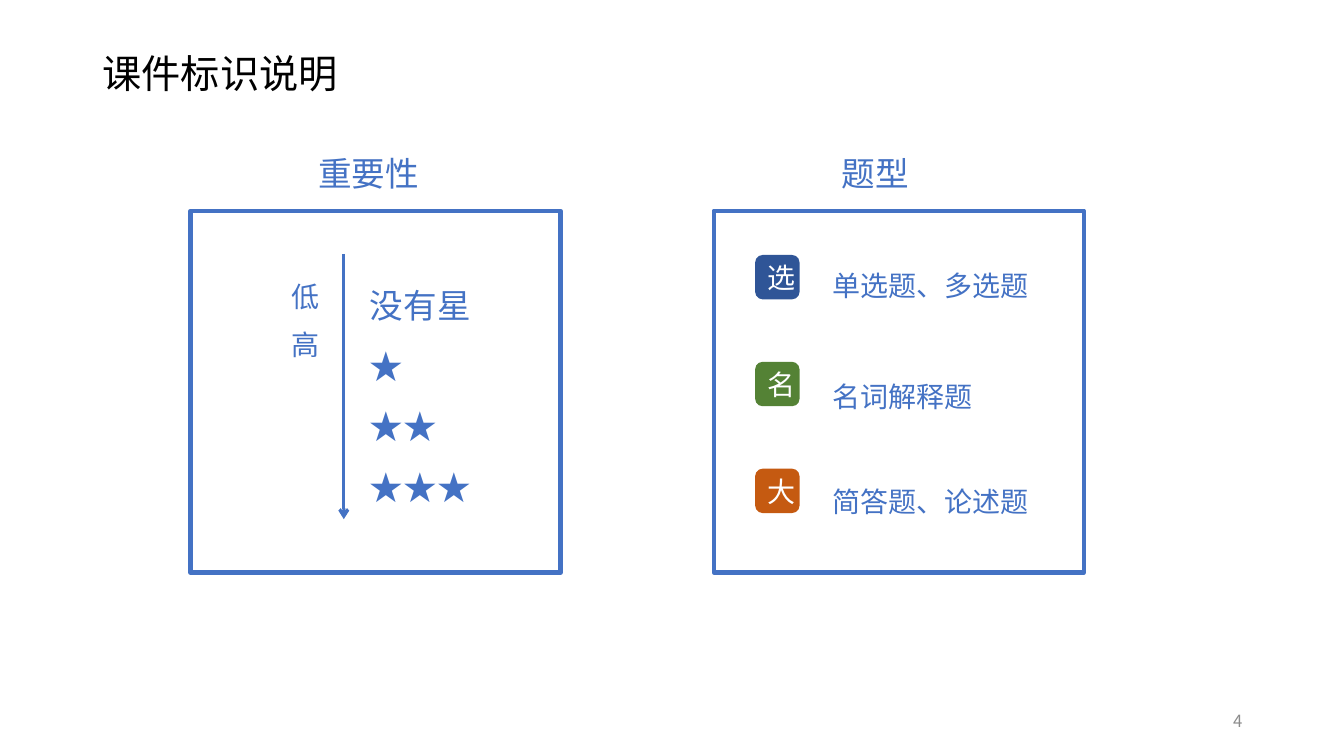
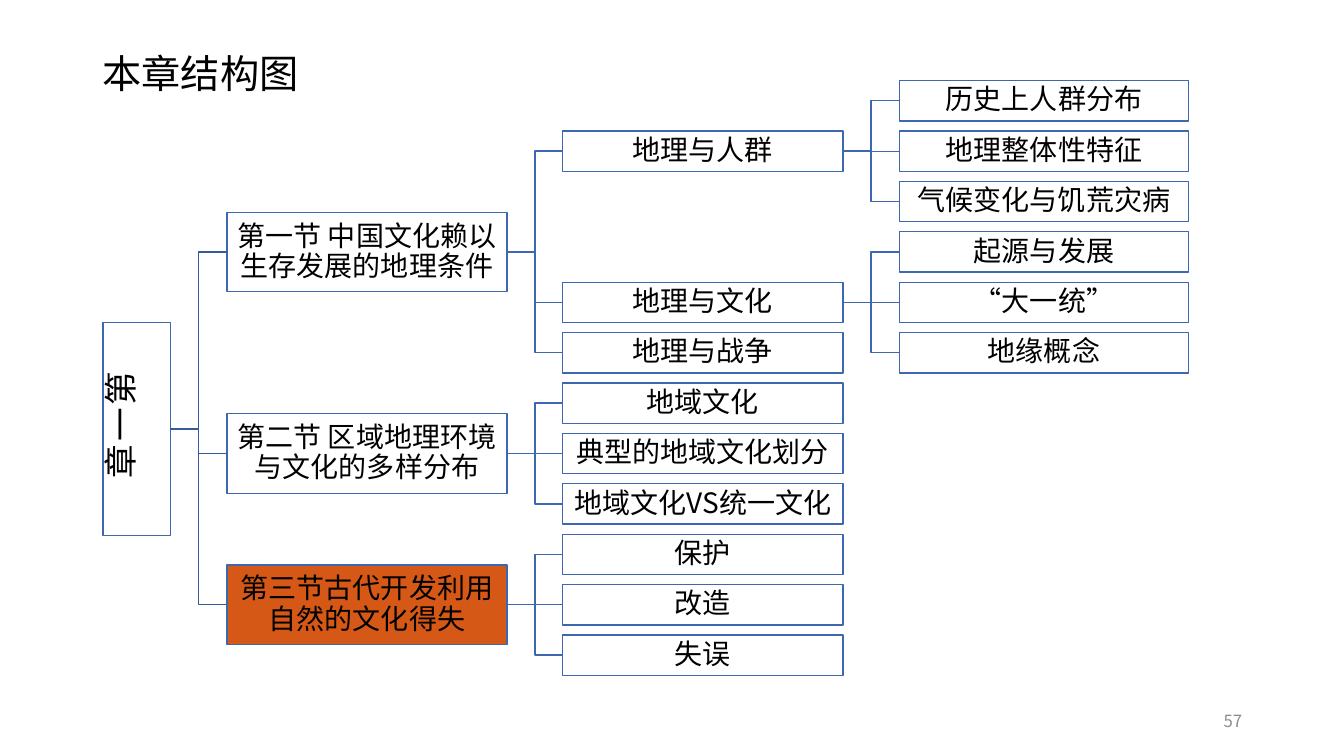
from pptx import Presentation
from pptx.dml.color import RGBColor
from pptx.enum.shapes import MSO_CONNECTOR as Connector, MSO_SHAPE as Shape
from pptx.enum.text import MSO_ANCHOR as Anchor, PP_ALIGN as Align
from pptx.oxml.ns import qn
from pptx.oxml.xmlchemy import OxmlElement
from pptx.util import Inches, Pt

FONT = "Noto Sans CJK SC"
BLACK = RGBColor(0x00, 0x00, 0x00)
WHITE = RGBColor(0xFF, 0xFF, 0xFF)
GRAY = RGBColor(0x8C, 0x8C, 0x8C)
BLUE = RGBColor(0x44, 0x72, 0xC4)
NAVY = RGBColor(0x2F, 0x55, 0x97)
GREEN = RGBColor(0x54, 0x82, 0x35)
RUST = RGBColor(0xC5, 0x5A, 0x11)
ORANGE = RGBColor(0xD5, 0x58, 0x16)
TREE_BLUE = RGBColor(0x3E, 0x67, 0xB2)
TRUNK_BLUE = RGBColor(0x36, 0x5B, 0x9D)

PANEL_LEFTS = (1.89, 7.08)
QUESTION_TYPES = (
    ("选", NAVY, "单选题、多选题", 2.45),
    ("名", GREEN, "名词解释题", 3.55),
    ("大", RUST, "简答题、论述题", 4.59),
)

FIRST_ROW, ROW_PITCH = 1.0, 0.5
CHAPTER_BOX = (0.3, 3.92, 2.11, 0.67)
TREE_COLUMNS = ((2.25, 2.78, 0.79), (5.58, 2.78, 0.4), (8.92, 2.87, 0.4))
HIGHLIGHTED = "第三节古代开发利用自然的文化得失"
CHAPTER_TREE = {
    "第一节 中国文化赖以生存发展的地理条件": {
        "地理与人群": {"历史上人群分布": {}, "地理整体性特征": {}, "气候变化与饥荒灾病": {}},
        "地理与文化": {"起源与发展": {}, "“大一统”": {}, "地缘概念": {}},
        "地理与战争": {},
    },
    "第二节 区域地理环境与文化的多样分布": {
        "地域文化": {}, "典型的地域文化划分": {}, "地域文化VS统一文化": {},
    },
    HIGHLIGHTED: {"保护": {}, "改造": {}, "失误": {}},
}


def write(shape, lines, size, color, align=Align.LEFT, anchor=Anchor.TOP,
          spacing=1.0, vertical=False, tracking=0):
    frame = shape.text_frame
    frame.word_wrap = True
    frame.vertical_anchor = anchor
    frame.text = "\n".join(lines)
    if vertical:
        frame._txBody.bodyPr.set("vert", "eaVert")
    for paragraph in frame.paragraphs:
        paragraph.alignment = align
        paragraph.line_spacing = spacing
        font = paragraph.font
        font.name, font.size, font.color.rgb = FONT, Pt(size), color
        properties = paragraph._p.pPr.find(qn("a:defRPr"))
        if tracking:
            properties.set("spc", str(tracking))
        east_asian = OxmlElement("a:ea")
        east_asian.set("typeface", FONT)
        properties.append(east_asian)


def add_text(slide, box, lines, size, color, **style):
    shape = slide.shapes.add_textbox(*map(Inches, box))
    write(shape, lines, size, color, **style)


def add_box(slide, box, kind=Shape.RECTANGLE, fill=None, line=None, width=1):
    shape = slide.shapes.add_shape(kind, *map(Inches, box))
    shape.shadow.inherit = False
    if fill is None:
        shape.fill.background()
    else:
        shape.fill.solid()
        shape.fill.fore_color.rgb = fill
    if line is None:
        shape.line.fill.background()
    else:
        shape.line.color.rgb = line
        shape.line.width = Pt(width)
    return shape


def add_line(slide, kind, start, end, color, width):
    connector = slide.shapes.add_connector(kind, *start, *end)
    connector.line.color.rgb = color
    connector.line.width = Pt(width)
    connector._element.spPr.append(OxmlElement("a:effectLst"))
    return connector


def add_slide(presentation, title, number):
    slide = presentation.slides.add_slide(presentation.slide_layouts[6])
    add_text(slide, (0.92, 0.4, 11.5, 0.71), [title], 28, BLACK,
             anchor=Anchor.MIDDLE, spacing=0.9)
    add_text(slide, (9.42, 6.95, 3, 0.4), [str(number)], 12, GRAY,
             align=Align.RIGHT, anchor=Anchor.MIDDLE)
    return slide


def add_panel(slide, left, heading):
    add_text(slide, (left + 1.17, 1.47, 1.33, 0.68), [heading], 24, BLUE,
             align=Align.JUSTIFY)
    add_box(slide, (left, 2.09, 3.67, 3.59), line=BLUE, width=3)


def add_importance_scale(slide):
    stars = ["★" * count for count in range(1, 4)]
    add_text(slide, (3.57, 2.58, 1.98, 2.52), ["没有星", *stars], 24, BLUE, spacing=1.5)
    add_text(slide, (2.7, 2.71, 0.54, 2.25), ["低 高"], 20, BLUE,
             align=Align.JUSTIFY, vertical=True, tracking=490)
    arrow = add_line(slide, Connector.STRAIGHT, (Inches(3.41), Inches(2.52)),
                     (Inches(3.41), Inches(5.15)), BLUE, 2.25)
    head = OxmlElement("a:tailEnd")
    head.set("type", "arrow")
    arrow.line._get_or_add_ln().append(head)


def add_question_types(slide):
    for index, (mark, color, label, label_top) in enumerate(QUESTION_TYPES):
        badge = add_box(slide, (7.49, 2.53 + 1.06 * index, 0.44, 0.44),
                        Shape.ROUNDED_RECTANGLE, fill=color)
        write(badge, [mark], 20, WHITE, align=Align.CENTER, anchor=Anchor.MIDDLE)
        add_text(slide, (8.16, label_top, 2.2, 0.55), [label], 20, BLUE, spacing=1.5)


def add_node(slide, box, text, size=20, vertical=False):
    fill = ORANGE if text == HIGHLIGHTED else WHITE
    node = add_box(slide, box, fill=fill, line=TREE_BLUE)
    frame = node.text_frame
    frame.margin_left = frame.margin_right = Inches(0.01)
    frame.margin_top = frame.margin_bottom = Inches(0.01)
    write(node, [text], size, BLACK, align=Align.CENTER, anchor=Anchor.MIDDLE,
          spacing=0.9, vertical=vertical)
    return node


def join(slide, parent, child):
    trunk = parent.rotation != 0
    reach = (parent.height if trunk else parent.width) // 2
    start = (parent.left + parent.width // 2 + reach, parent.top + parent.height // 2)
    end = (child.left, child.top + child.height // 2)
    level = abs(start[1] - end[1]) < Inches(0.01)
    kind = Connector.STRAIGHT if level else Connector.ELBOW
    connector = add_line(slide, kind, start, end, TRUNK_BLUE if trunk else TREE_BLUE, 1)
    if not trunk:
        connector.begin_connect(parent, 3)
        connector.end_connect(child, 1)


def add_branch(slide, text, children, next_rows, column=0):
    branches = [add_branch(slide, name, below, next_rows, column + 1)
                for name, below in children.items()]
    if branches:
        row = (branches[0][1] + branches[-1][1]) / 2
    else:
        row = next_rows[column]
    next_rows[column] = row + 1
    left, width, height = TREE_COLUMNS[column]
    top = FIRST_ROW + ROW_PITCH * row - height / 2
    node = add_node(slide, (left, top, width, height), text)
    for child, _ in branches:
        join(slide, node, child)
    return node, row


def add_chapter_tree(slide):
    chapter = add_node(slide, CHAPTER_BOX, "第一章", size=24, vertical=True)
    chapter.rotation = 270
    next_rows = [0] * len(TREE_COLUMNS)
    for text, children in CHAPTER_TREE.items():
        section, _ = add_branch(slide, text, children, next_rows)
        join(slide, chapter, section)


def main():
    presentation = Presentation()
    presentation.slide_width = Inches(13.33)
    presentation.slide_height = Inches(7.5)

    legend = add_slide(presentation, "课件标识说明", 4)
    for left, heading in zip(PANEL_LEFTS, ("重要性", "题型")):
        add_panel(legend, left, heading)
    add_importance_scale(legend)
    add_question_types(legend)

    structure = add_slide(presentation, "本章结构图", 57)
    add_chapter_tree(structure)

    presentation.save("out.pptx")


if __name__ == "__main__":
    main()
